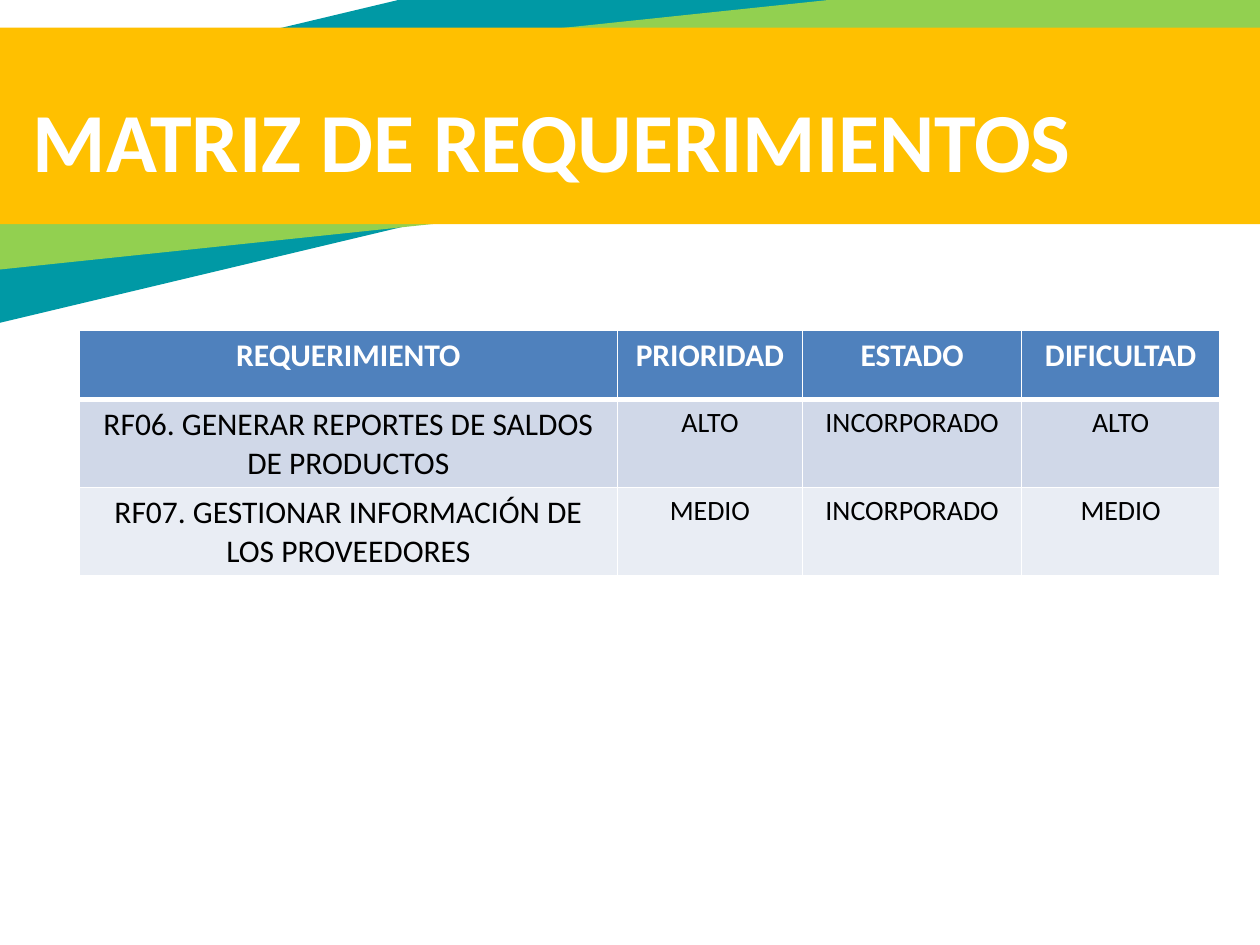
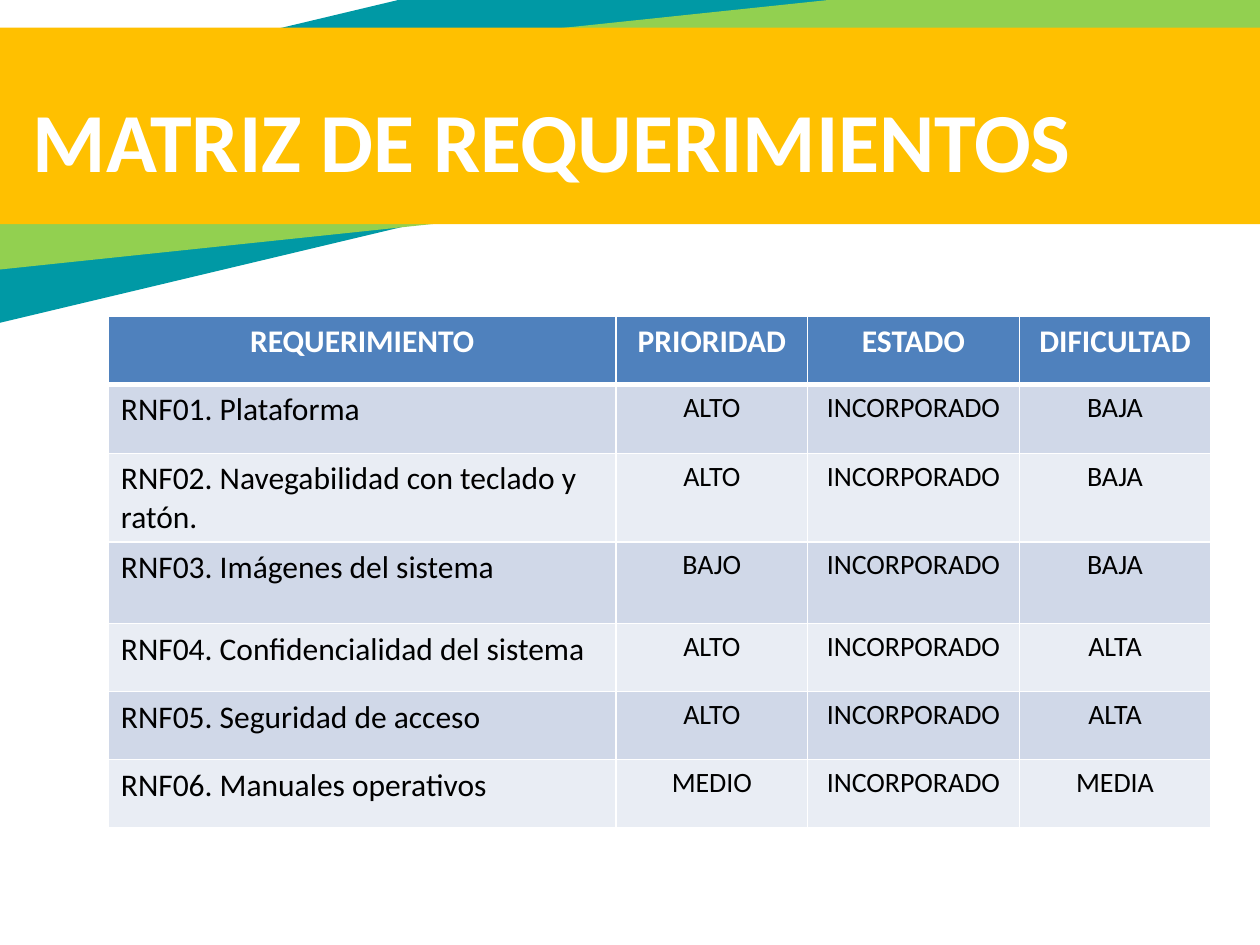
from dataclasses import dataclass

from lxml.etree import SubElement
from pptx import Presentation
from pptx.dml.color import RGBColor as Rgb
from pptx.enum.shapes import MSO_SHAPE as Preset
from pptx.enum.text import MSO_ANCHOR as Anchor, PP_ALIGN as Align
from pptx.oxml.ns import qn
from pptx.util import Inches, Pt


@dataclass(frozen=True)
class Theme:
    font: str = "Calibri"
    teal: str = "0099A5"
    green: str = "92D050"
    amber: str = "FFC000"
    header: str = "4F81BD"
    stripes: tuple = ("D0D8E8", "E9EDF4")
    light: str = "FFFFFF"
    dark: str = "000000"
    title_size: int = 48
    label_size: int = 18
    rating_size: int = 16
    rule: int = 1
    header_rule: int = 3


class Deck:
    """Style and current slide; lengths count cells of a 100 x 75 grid."""
    COLUMNS, ROWS = 100, 75

    def __init__(self, theme):
        self.theme = theme
        self.show = Presentation()
        self.show.slide_width, self.show.slide_height = Inches(10), Inches(7.5)
        self.slide = None

    def across(self, columns):
        return round(self.show.slide_width * columns / self.COLUMNS)

    def down(self, rows):
        return round(self.show.slide_height * rows / self.ROWS)

    def place(self, left, top, width, height):
        return self.across(left), self.down(top), self.across(width), self.down(height)

    def new_slide(self):
        self.slide = self.show.slides.add_slide(self.show.slide_layouts[6])

    def band(self, area, color, rotation=0):
        band = self.slide.shapes.add_shape(Preset.RECTANGLE, *self.place(*area))
        band.rotation = rotation
        band.shadow.inherit = False
        band.fill.solid()
        band.fill.fore_color.rgb = Rgb.from_string(color)
        band.line.fill.background()

    def add_words(self, paragraph, words, size, color, bold=False):
        run = paragraph.add_run()
        run.text = words
        run.font.name, run.font.size, run.font.bold = self.theme.font, Pt(size), bold
        run.font.color.rgb = Rgb.from_string(color)

    def title(self, words):
        frame = self.slide.shapes.add_textbox(*self.place(-9.7, 2.5, 115.1, 14.9)).text_frame
        frame.word_wrap = True
        frame.vertical_anchor = Anchor.MIDDLE
        # Insets bring the words onto the visible, lower part of the band
        frame.margin_left, frame.margin_top = self.across(12.3), self.down(2.7)
        self.add_words(frame.paragraphs[0], words, self.theme.title_size, self.theme.light, True)

    def heading(self, words):
        self.band((-25.1, -1.8, 130.6, 17.6), self.theme.teal, 346.6)
        self.band((-11, 2, 116.3, 14.4), self.theme.green, 354)
        self.band((-10.6, 2.2, 116.3, 15.6), self.theme.amber)
        self.title(words)

    def borders(self, cell, top, bottom):
        properties = cell._tc.get_or_add_tcPr()
        rule = self.theme.rule
        for side, width in (("L", rule), ("R", rule), ("T", top), ("B", bottom)):
            line = SubElement(properties, qn(f"a:ln{side}"), w=str(Pt(width)))
            fill = SubElement(line, qn("a:solidFill"))
            SubElement(fill, qn("a:srgbClr"), val=self.theme.light)

    def cell(self, cell, words, row, column, label_align):
        theme = self.theme
        is_header = row == 0
        self.borders(cell,
                     top=theme.header_rule if row == 1 else theme.rule,
                     bottom=theme.header_rule if is_header else theme.rule)
        cell.fill.solid()
        cell.fill.fore_color.rgb = Rgb.from_string(
            theme.header if is_header else theme.stripes[(row - 1) % 2])
        paragraph = cell.text_frame.paragraphs[0]
        paragraph.alignment = label_align if column == 0 and not is_header else Align.CENTER
        size = theme.label_size if is_header or column == 0 else theme.rating_size
        self.add_words(paragraph, words, size, theme.light if is_header else theme.dark, is_header)

    def matrix(self, left, top, widths, heights, requirements, label_align):
        records = [HEADINGS, *requirements]
        area = self.place(left, top, sum(widths), sum(heights))
        table = self.slide.shapes.add_table(len(records), len(widths), *area).table
        for column, width in zip(table.columns, widths):
            column.width = self.across(width)
        for row, height in zip(table.rows, heights):
            row.height = self.down(height)
        for r, record in enumerate(records):
            for c, words in enumerate(record):
                self.cell(table.cell(r, c), words, r, c, label_align)


TITLE = "MATRIZ DE REQUERIMIENTOS"
HEADINGS = ("REQUERIMIENTO", "PRIORIDAD", "ESTADO", "DIFICULTAD")
STATE = "INCORPORADO"

FUNCTIONAL = [
    ("RF06. GENERAR REPORTES DE SALDOS DE PRODUCTOS", "ALTO", STATE, "ALTO"),
    ("RF07. GESTIONAR INFORMACIÓN DE LOS PROVEEDORES", "MEDIO", STATE, "MEDIO"),
]
NON_FUNCTIONAL = [
    ("RNF01. Plataforma", "ALTO", STATE, "BAJA"),
    ("RNF02. Navegabilidad con teclado y ratón.", "ALTO", STATE, "BAJA"),
    ("RNF03. Imágenes del sistema", "BAJO", STATE, "BAJA"),
    ("RNF04. Confidencialidad del sistema", "ALTO", STATE, "ALTA"),
    ("RNF05. Seguridad de acceso", "ALTO", STATE, "ALTA"),
    ("RNF06. Manuales operativos", "MEDIO", STATE, "MEDIA"),
]


def main():
    deck = Deck(Theme())

    # Functional requirements
    deck.new_slide()
    deck.heading(TITLE)
    deck.matrix(6.3, 26.2, (42.7, 14.7, 17.4, 15.7), (5.5, 7, 7),
                FUNCTIONAL, Align.CENTER)

    # Non-functional requirements
    deck.new_slide()
    deck.heading(TITLE)
    deck.matrix(8.6, 25.1, (40.3, 15.2, 16.8, 15.2), (5.4, 5.5, 7, 6.5, 5.4, 5.4, 5.4),
                NON_FUNCTIONAL, Align.LEFT)

    deck.show.save("out.pptx")


if __name__ == "__main__":
    main()
